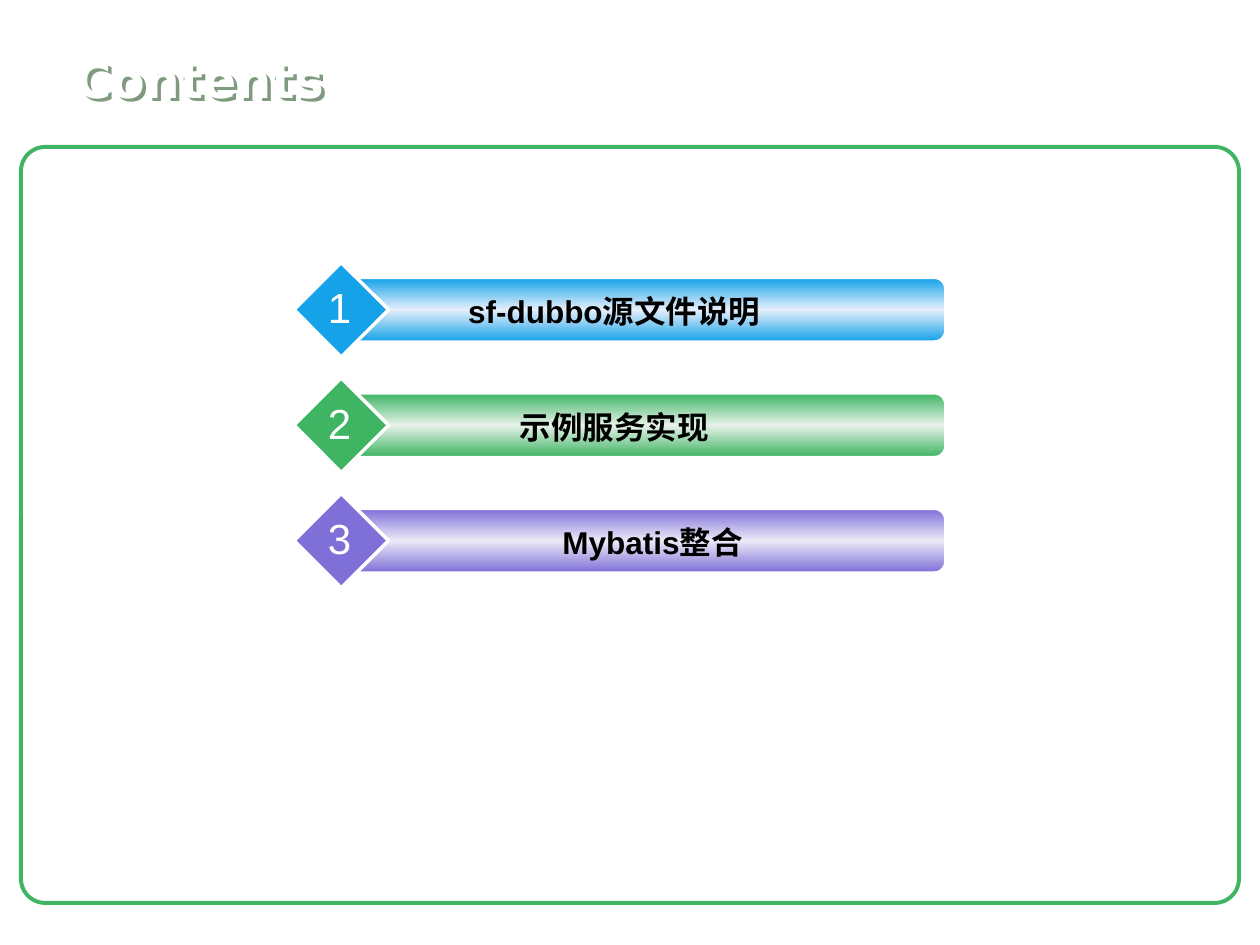
import copy
import dataclasses

import pptx
import pptx.dml.color
import pptx.enum.shapes
import pptx.enum.text
import pptx.oxml
import pptx.oxml.ns
import pptx.util

SHAPE = pptx.enum.shapes.MSO_SHAPE
ALIGN = pptx.enum.text.PP_ALIGN
ANCHOR = pptx.enum.text.MSO_ANCHOR

UNIT = pptx.util.Inches(1) / 12
ROW_PITCH = 11

COLORS = {
    "white": "FFFFFF",
    "black": "000000",
    "blue": "15A2E9",
    "blue_light": "E6EFFB",
    "green": "3FB564",
    "green_light": "E7F2E9",
    "purple": "7F70D8",
    "purple_light": "EBEAF7",
    "title_shadow": "7F9A7F",
}


@dataclasses.dataclass(frozen=True)
class Box:
    col: float
    row: float
    cols: float
    rows: float

    def emu(self) -> list[int]:
        return [round(v * UNIT) for v in (self.col, self.row, self.cols, self.rows)]

    def down(self, rows: float) -> "Box":
        return dataclasses.replace(self, row=self.row + rows)


@dataclasses.dataclass(frozen=True)
class Item:
    text: str
    color: str
    label_cols: float = 45


FRAME = Box(2, 14, 116, 72)
TITLE = Box(6, 4, 113, 7)
BAR = Box(33, 26.5, 57, 6)
DIAMOND = Box(28, 25, 9, 9)
LABEL = Box(36, 27.25, 45, 4.8)
NUMBER = Box(30, 26.25, 4.7, 6)

ITEMS = [
    Item("sf-dubbo源文件说明", "blue"),
    Item("示例服务实现", "green"),
    Item("Mybatis整合", "purple", 52.3),
]


def rgb(name: str) -> pptx.dml.color.RGBColor:
    return pptx.dml.color.RGBColor.from_string(COLORS[name])


def add_shape(s, kind, box: Box, line: str, width: float):
    sp = s.shapes.add_shape(kind, *box.emu())
    sp.shadow.inherit = False
    sp.line.color.rgb = rgb(line)
    sp.line.width = pptx.util.Pt(width)
    return sp


def add_text(s, box: Box, text: str, size: float, color: str, bold: bool = False,
             font: str = "Arial", align=ALIGN.CENTER, anchor=ANCHOR.TOP, wrap: bool = True):
    sp = s.shapes.add_textbox(*box.emu())
    tf = sp.text_frame
    tf.word_wrap = wrap
    tf.vertical_anchor = anchor
    p = tf.paragraphs[0]
    p.text = text
    p.alignment = align
    p.font.name = font
    p.font.size = pptx.util.Pt(size)
    p.font.bold = bold
    p.font.color.rgb = rgb(color)
    return sp


def fill_gradient(sp, edge: str, middle: str) -> None:
    sp.fill.gradient()
    sp.fill.gradient_angle = 90
    first = sp.fill.gradient_stops[0]._gs
    first.addnext(copy.deepcopy(first))
    for stop, position, color in zip(sp.fill.gradient_stops, (0, 0.5, 1), (edge, middle, edge)):
        stop.position = position
        stop.color.rgb = rgb(color)


def add_text_shadow(sp, color: str) -> None:
    sp._element.spPr.append(pptx.oxml.parse_xml(
        f'<a:effectLst {pptx.oxml.ns.nsdecls("a")}>'
        '<a:outerShdw dist="35921" dir="2700000" algn="ctr" rotWithShape="0">'
        f'<a:srgbClr val="{COLORS[color]}"/></a:outerShdw></a:effectLst>'))


def add_item(s, index: int, item: Item) -> None:
    offset = index * ROW_PITCH
    bar = add_shape(s, SHAPE.ROUNDED_RECTANGLE, BAR.down(offset), "white", 1)
    bar.adjustments[0] = 0.167
    fill_gradient(bar, item.color, f"{item.color}_light")
    diamond = add_shape(s, SHAPE.DIAMOND, DIAMOND.down(offset), "white", 2)
    diamond.fill.solid()
    diamond.fill.fore_color.rgb = rgb(item.color)
    label = dataclasses.replace(LABEL.down(offset), cols=item.label_cols)
    add_text(s, label, item.text, 18, "black", bold=True)
    add_text(s, NUMBER.down(offset), str(index + 1), 24, "white", wrap=False)


def main() -> None:
    prs = pptx.Presentation()
    prs.slide_width = pptx.util.Inches(10)
    prs.slide_height = pptx.util.Inches(7.5)
    s = prs.slides.add_slide(prs.slide_layouts[6])
    frame = add_shape(s, SHAPE.ROUNDED_RECTANGLE, FRAME, "green", 2.25)
    frame.adjustments[0] = 0.032
    frame.fill.background()
    title = add_text(s, TITLE, "Contents", 28, "white", bold=True, font="DejaVu Sans",
                     align=ALIGN.LEFT, anchor=ANCHOR.MIDDLE)
    add_text_shadow(title, "title_shadow")
    for index, item in enumerate(ITEMS):
        add_item(s, index, item)
    prs.save("out.pptx")


if __name__ == "__main__":
    main()
